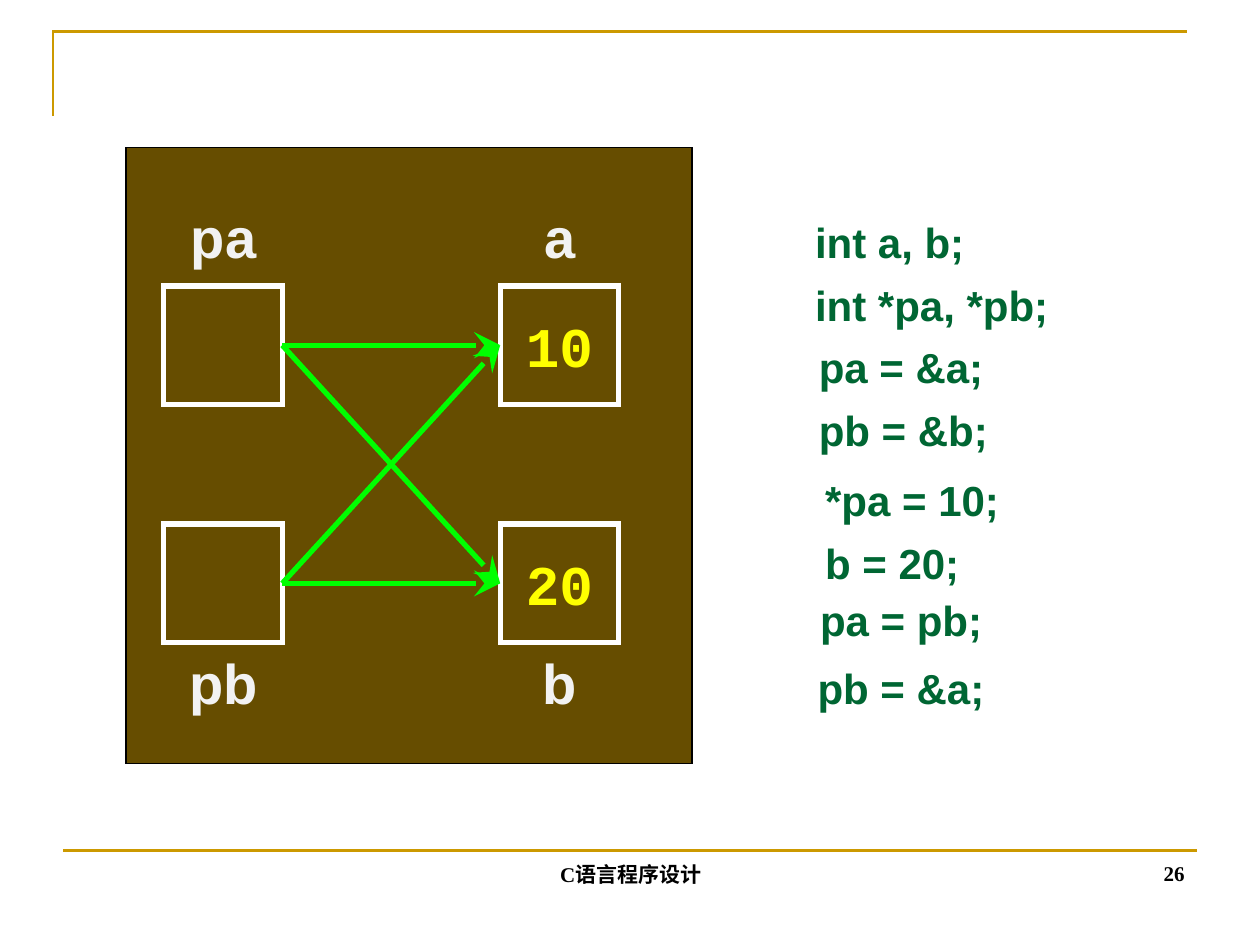
"""Build a slide that shows how two pointers move between two variables."""
from dataclasses import dataclass

from lxml import etree
from pptx import Presentation
from pptx import util as u
from pptx.dml.color import RGBColor
from pptx.enum import shapes, text
from pptx.oxml.ns import qn

GOLD, BROWN, GREEN = "CC9900", "664D00", "00FF00"
CELL = 0.94
POINTER_LEFT, VARIABLE_LEFT = 1.3, 3.97
TOP_ROW, BOTTOM_ROW = 2.27, 4.16
LABEL_ABOVE, LABEL_BELOW = 1.56, 5.1

LABEL = {"name": "Arial", "size": u.Pt(32), "bold": True, "color": "F2F2F2"}
VALUE = {"name": "Courier New", "size": u.Pt(32), "bold": True, "color": "FFFF00"}
CODE = {"name": "Arial", "size": u.Pt(24), "bold": True, "color": "006633"}
FOOTER = {"name": "Times New Roman", "size": u.Pt(12), "bold": True, "color": "000000"}


@dataclass
class Cell:
    name: str
    left: float
    top: float
    label_top: float
    value: str = ""


@dataclass
class TextBlock:
    lines: list[str]
    left: float
    top: float
    width: float
    height: float
    style: dict
    frame: dict
    paragraph: dict


CELLS = [
    Cell("pa", POINTER_LEFT, TOP_ROW, LABEL_ABOVE),
    Cell("a", VARIABLE_LEFT, TOP_ROW, LABEL_ABOVE, "10"),
    Cell("pb", POINTER_LEFT, BOTTOM_ROW, LABEL_BELOW),
    Cell("b", VARIABLE_LEFT, BOTTOM_ROW, LABEL_BELOW, "20"),
]
ARROWS = [("pa", "a"), ("pb", "b"), ("pa", "b"), ("pb", "a")]

CENTERED = {"alignment": text.PP_ALIGN.CENTER}
RIGHT = {"alignment": text.PP_ALIGN.RIGHT}
SPACED = {"line_spacing": 1.25}
GROWING = {"auto_size": text.MSO_AUTO_SIZE.SHAPE_TO_FIT_TEXT}
WRAPPED = {"word_wrap": True, **GROWING}
UNWRAPPED = {"word_wrap": False, **GROWING}
MIDDLE = {"word_wrap": False, "vertical_anchor": text.MSO_ANCHOR.MIDDLE}
BOTTOM = {"word_wrap": True, "vertical_anchor": text.MSO_ANCHOR.BOTTOM}

CODE_BLOCKS = [
    TextBlock(lines, left, top, width, height, CODE, UNWRAPPED, SPACED)
    for lines, left, top, width, height in [
        (["int a, b;", "int *pa, *pb;"], 6.37, 1.57, 2.05, 1.1),
        (["pa = &a;", "pb = &b;"], 6.4, 2.56, 1.54, 1.1),
        (["*pa = 10;", "b = 20;"], 6.45, 3.62, 1.58, 1.1),
        (["pa = pb;"], 6.41, 4.57, 1.52, 0.6),
        (["pb = &a;"], 6.39, 5.11, 1.56, 0.6),
    ]
]
FOOTER_BLOCKS = [
    TextBlock(["C语言程序设计"], 3.42, 6.59, 3.17, 0.5, FOOTER, BOTTOM, CENTERED),
    TextBlock(["26"], 7.17, 6.58, 2.33, 0.5, FOOTER, BOTTOM, RIGHT),
]


def rgb(color: str) -> RGBColor:
    """Turn a hex string into a colour."""
    return RGBColor.from_string(color)


def apply(target, values: dict) -> None:
    """Set each named attribute on the target."""
    for name, value in values.items():
        setattr(target, name, value)


def write(frame, lines: list[str], style: dict, layout: dict, paragraph_format: dict) -> None:
    """Fill a text frame with formatted paragraphs."""
    apply(frame, layout)
    for index, line in enumerate(lines):
        paragraph = frame.paragraphs[0] if index == 0 else frame.add_paragraph()
        apply(paragraph, paragraph_format)
        run = paragraph.add_run()
        run.text = line
        apply(run.font, {key: value for key, value in style.items() if key != "color"})
        run.font.color.rgb = rgb(style["color"])


def set_line(line, color: str, width: float) -> None:
    """Give a line its colour, its width in points and sharp corners."""
    line.color.rgb = rgb(color)
    line.width = u.Pt(width)
    etree.SubElement(line._get_or_add_ln(), qn("a:miter"), lim="800000")


def add_block(slide, block: TextBlock) -> None:
    """Draw one text box."""
    bounds = map(u.Inches, (block.left, block.top, block.width, block.height))
    shape = slide.shapes.add_textbox(*bounds)
    write(shape.text_frame, block.lines, block.style, block.frame, block.paragraph)


def add_rectangle(slide, bounds: tuple, color: str, width: float, fill: str = ""):
    """Draw a rectangle, hollow unless a fill is given."""
    shape = slide.shapes.add_shape(shapes.MSO_SHAPE.RECTANGLE, *map(u.Inches, bounds))
    shape.shadow.inherit = False
    if fill:
        shape.fill.solid()
        shape.fill.fore_color.rgb = rgb(fill)
    else:
        shape.fill.background()
    set_line(shape.line, color, width)
    return shape


def add_line(slide, ends: tuple, color: str, width: float):
    """Draw a straight connector without a shadow."""
    connector = slide.shapes.add_connector(
        shapes.MSO_CONNECTOR.STRAIGHT, *map(u.Inches, ends)
    )
    set_line(connector.line, color, width)
    etree.SubElement(connector._element.spPr, qn("a:effectLst"))
    return connector


def add_arrow(slide, pointer, variable) -> None:
    """Join a pointer's right side to a variable's left side."""
    connector = add_line(slide, (0, 0, 1, 1), GREEN, 3)
    connector.begin_connect(pointer, 3)
    connector.end_connect(variable, 1)
    head = {"type": "stealth", "w": "lg", "len": "lg"}
    etree.SubElement(connector.line._get_or_add_ln(), qn("a:tailEnd"), head)


def add_cell(slide, cell: Cell):
    """Draw a memory cell with its value and its label."""
    shape = add_rectangle(slide, (cell.left, cell.top, CELL, CELL), "FFFFFF", 3)
    if cell.value:
        write(shape.text_frame, [cell.value], VALUE, MIDDLE, CENTERED)
    add_block(slide, TextBlock([cell.name], cell.left, cell.label_top, 0.95, 0.64,
                               LABEL, WRAPPED, CENTERED))
    return shape


def add_corner(slide) -> None:
    """Draw the open corner line at the top left."""
    builder = slide.shapes.build_freeform(u.Inches(0.42), u.Inches(0.92))
    points = [(u.Inches(0.42), u.Inches(0.25)), (u.Inches(9.42), u.Inches(0.25))]
    builder.add_line_segments(points, close=False)
    corner = builder.convert_to_shape()
    corner.shadow.inherit = False
    corner.fill.background()
    set_line(corner.line, GOLD, 1.5)


def main() -> None:
    """Build and save the slide."""
    presentation = Presentation()
    apply(presentation, {"slide_width": u.Inches(10), "slide_height": u.Inches(7.5)})
    slide = presentation.slides.add_slide(presentation.slide_layouts[6])
    add_corner(slide)
    add_line(slide, (0.5, 6.75, 9.5, 6.75), GOLD, 1.5)
    add_rectangle(slide, (1, 1.17, 4.49, 4.89), "000000", 1, BROWN)
    cells = {cell.name: add_cell(slide, cell) for cell in CELLS}
    for pointer, variable in ARROWS:
        add_arrow(slide, cells[pointer], cells[variable])
    for block in CODE_BLOCKS + FOOTER_BLOCKS:
        add_block(slide, block)
    presentation.save("out.pptx")


if __name__ == "__main__":
    main()
